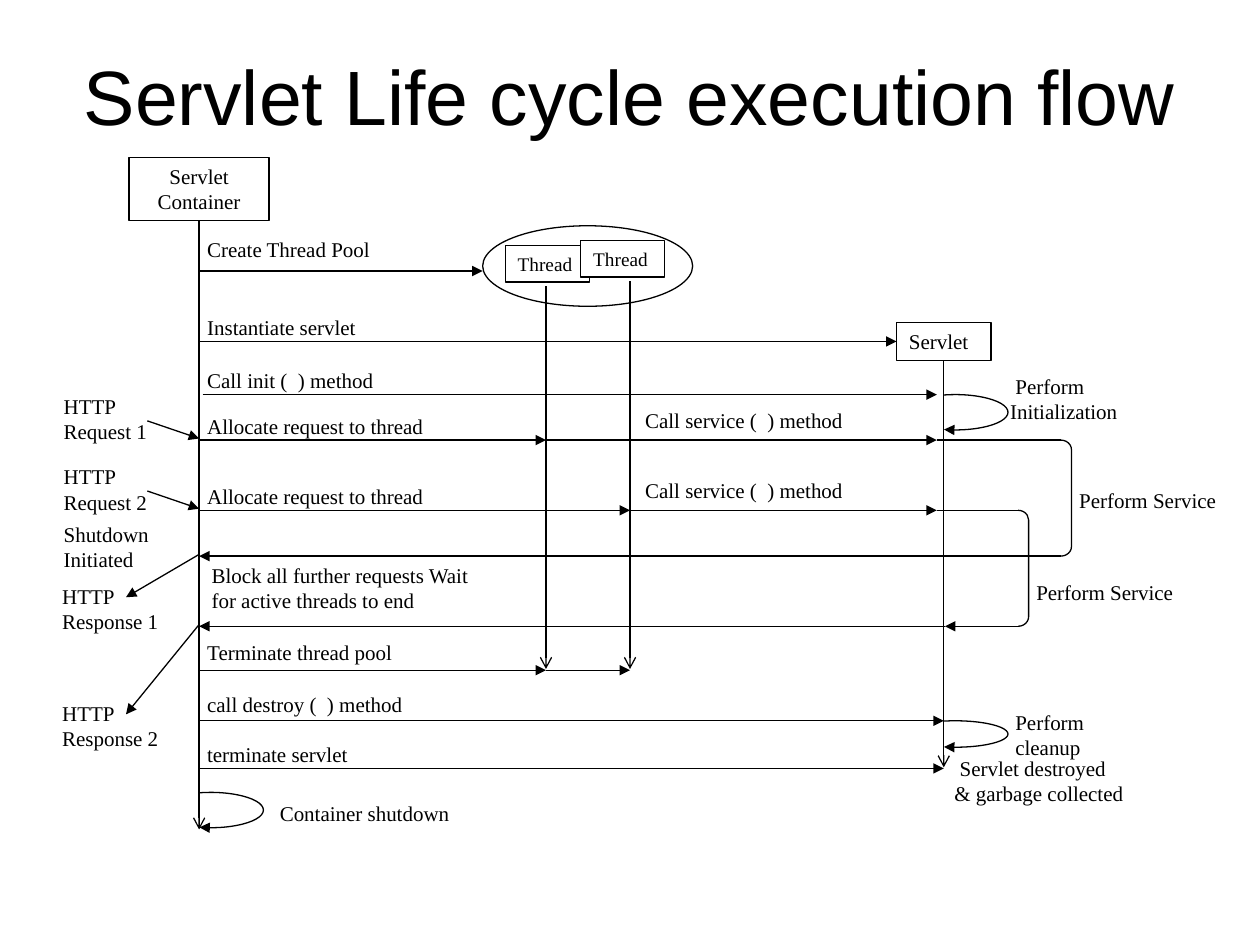
from dataclasses import dataclass
from itertools import pairwise
from math import atan2, degrees

from lxml import etree
from pptx import Presentation
from pptx.dml.color import RGBColor
from pptx.enum.shapes import MSO_CONNECTOR, MSO_SHAPE
from pptx.enum.text import MSO_ANCHOR, PP_ALIGN
from pptx.oxml.ns import qn
from pptx.util import Pt

STRAIGHT = MSO_CONNECTOR.STRAIGHT
RECTANGLE, OVAL = MSO_SHAPE.RECTANGLE, MSO_SHAPE.OVAL
ARC, RIGHT_BRACKET = MSO_SHAPE.ARC, MSO_SHAPE.RIGHT_BRACKET
LEFT, CENTER = PP_ALIGN.LEFT, PP_ALIGN.CENTER
TOP, MIDDLE = MSO_ANCHOR.TOP, MSO_ANCHOR.MIDDLE
SIDE_LEFT, SIDE_BOTTOM = 1, 2
FILLED, OPEN = "triangle", "arrow"

# Lifelines, measured from the container's lifeline
THREAD_1, THREAD_2, SERVLET = 198.2, 246.2, 425.5

# Rows, measured from the top of the diagram
CREATE_POOL, INSTANTIATE, INIT = 64.9, 105.1, 135.5
REQUESTS = (161.5, 201.6)
SERVICE_TIME = 66.3
RESPONSES = tuple(row + SERVICE_TIME for row in REQUESTS)
END_POOL, DESTROY, END_SERVLET = 293, 321.9, 349.1
SHUTDOWN, DIAGRAM_END = 362.8, 384

# Label heights and the usual place of a label beside its arrow
ONE_LINE, TWO_LINES = 21.6, 36
LABEL_SHIFT, LABEL_RISE = -2.5, 19


@dataclass(frozen=True)
class Theme:
    ink: RGBColor = RGBColor(0, 0, 0)
    paper: RGBColor = RGBColor(255, 255, 255)
    line: float = 0.75
    title_font: str = "Arial"
    body_font: str = "Times New Roman"
    title: int = 44
    body: int = 12
    small: int = 11


@dataclass(frozen=True)
class Box:
    left: float
    top: float
    width: float
    height: float

    def at(self, x, y):
        return self.left + x, self.top + y


THEME = Theme()
FRAME = {"word_wrap": True, "margin_left": Pt(7.2), "margin_right": Pt(7.2),
         "margin_top": Pt(3.6), "margin_bottom": Pt(3.6)}


def set_all(target, values):
    for name, value in values.items():
        setattr(target, name, value)


def write(shape, text, size=THEME.body, font=THEME.body_font, align=LEFT, anchor=TOP, indent=0):
    set_all(shape.text_frame, FRAME | {"vertical_anchor": anchor})
    paragraph = shape.text_frame.paragraphs[0]
    set_all(paragraph, {"text": text, "alignment": align})
    if indent:
        paragraph._p.get_or_add_pPr().set("indent", str(Pt(indent)))
    set_all(paragraph.font, {"size": Pt(size), "name": font})
    paragraph.font.color.rgb = THEME.ink


def add_label(slide, text, point, width, height=ONE_LINE, **style):
    shape = slide.shapes.add_textbox(*map(Pt, (*point, width, height)))
    write(shape, text, **style)


def stroke(shape, head):
    shape.line.color.rgb = THEME.ink
    shape.line.width = Pt(THEME.line)
    if head:
        outline = shape.element.spPr.find(qn("a:ln"))
        etree.SubElement(outline, qn("a:tailEnd")).set("type", head)


def add_outline(slide, kind, point, width, height, fill=None, head=None):
    shape = slide.shapes.add_shape(kind, *map(Pt, (*point, width, height)))
    shape.shadow.inherit = False
    if fill is None:
        shape.fill.background()
    else:
        shape.fill.solid()
        shape.fill.fore_color.rgb = fill
    stroke(shape, head)
    return shape


def add_line(slide, start, end, head=FILLED):
    connector = slide.shapes.add_connector(STRAIGHT, *map(Pt, (*start, *end)))
    stroke(connector, head)
    etree.SubElement(connector.element.spPr, qn("a:effectLst"))
    return connector


def add_self_call(slide, point, height):
    """Draw a loop that leaves a lifeline at point and returns below it."""
    x, y = point
    radius, center = 30.2, 6.5
    arc = add_outline(slide, ARC, (x + center - radius, y), 2 * radius, height, head=FILLED)
    # Angles run clockwise from the right; 0.6 turns degrees into adjustment units
    angle = degrees(atan2(height / 2, -center))
    arc.adjustments[0] = (360 - angle) * 0.6
    arc.adjustments[1] = angle * 0.6


def add_title(slide, box):
    add_label(slide, "Servlet Life cycle execution flow", box.at(0, 0), box.width, box.height,
              size=THEME.title, font=THEME.title_font, align=CENTER, anchor=MIDDLE)


def add_participants(slide, box):
    """Draw the container, the thread pool and the servlet; return the servlet."""
    # Container
    width, height = 80, 36
    container = add_outline(slide, RECTANGLE, box.at(-width / 2, 0), width, height)
    write(container, "Servlet Container", align=CENTER)
    lifeline = add_line(slide, box.at(0, height), box.at(0, box.height), OPEN)
    lifeline.begin_connect(container, SIDE_BOTTOM)

    # Thread pool
    width, height, gap = 48, 20.8, 2.5
    add_outline(slide, OVAL, box.at(162, 39), 120, 46)
    for lane, shift, top in ((THREAD_1, -23.3, 50.4), (THREAD_2, -28.1, 47.5)):
        thread = add_outline(slide, RECTANGLE, box.at(lane + shift, top),
                             width, height, THEME.paper)
        write(thread, "Thread", size=THEME.small)
        add_line(slide, box.at(lane, top + height + gap), box.at(lane, END_POOL - 0.7), OPEN)

    # Servlet
    width, height = 54, 21.6
    top = INSTANTIATE - height / 2
    servlet = add_outline(slide, RECTANGLE, box.at(SERVLET - width / 2, top),
                          width, height, THEME.paper)
    write(servlet, "Servlet")
    lifeline = add_line(slide, box.at(SERVLET, top + height),
                        box.at(SERVLET, END_SERVLET - 0.6), OPEN)
    lifeline.begin_connect(servlet, SIDE_BOTTOM)
    return servlet


def add_messages(slide, box, servlet):
    """Draw the container's calls, each as a label above a chain of arrows."""
    before_servlet = SERVLET - 4
    messages = (
        ("Create Thread Pool", CREATE_POOL, 23.3, (0, 162)),
        ("Instantiate servlet", INSTANTIATE, LABEL_RISE, (0, SERVLET - 27)),
        ("Call init (  ) method", INIT, LABEL_RISE, (2, before_servlet)),
        ("Allocate request to thread", REQUESTS[0], LABEL_RISE, (0, THREAD_1, before_servlet)),
        ("Allocate request to thread", REQUESTS[1], LABEL_RISE, (0, THREAD_2, before_servlet)),
        ("Terminate thread pool", END_POOL, 20.9, (0, THREAD_1, THREAD_2)),
        ("call destroy (  ) method", DESTROY, 20.3, (0, SERVLET)),
        ("terminate servlet", END_SERVLET, LABEL_RISE, (0, SERVLET)),
    )
    for text, row, rise, stops in messages:
        add_label(slide, text, box.at(LABEL_SHIFT, row - rise), 156)
        for start, end in pairwise(stops):
            arrow = add_line(slide, box.at(start, row), box.at(end, row))
            if row == INSTANTIATE:
                arrow.end_connect(servlet, SIDE_LEFT)

    for row in REQUESTS:
        add_label(slide, "Call service (  ) method", box.at(THREAD_2 + 1.6, row - 22), 132)

    # Shutdown of the container
    add_label(slide, "Block all further requests Wait for active threads to end",
              box.at(0, RESPONSES[0]), 162, TWO_LINES)
    add_label(slide, "Container shutdown", box.at(39, SHUTDOWN + 1), 120)
    add_self_call(slide, box.at(0, SHUTDOWN), 20.2)


def add_servlet_work(slide, box):
    """Draw what the servlet does; the box starts at its lifeline."""
    # Service calls: out to a bracket, back to the lifeline, on to the container
    services = zip(REQUESTS, RESPONSES, (67, 42.5), (None, FILLED), (23.6, 36))
    for request, response, reach, head, label_drop in services:
        add_line(slide, box.at(-4, request), box.at(reach, request), None)
        bracket = add_outline(slide, RIGHT_BRACKET, box.at(reach, request), 6, SERVICE_TIME)
        bracket.adjustments[0] = 0.92
        add_line(slide, box.at(reach, response), box.at(0.7, response), head)
        add_line(slide, box.at(0.7, response), box.at(-SERVLET, response))
        add_label(slide, "Perform Service", box.at(reach + 3.3, request + label_drop), 102)

    # Start and end of the servlet's life
    for row, height in ((INIT, 20.2), (DESTROY, 15.1)):
        add_self_call(slide, box.at(0, row), height)
    for text, x, y, width, indent in (
        ("Perform Initialization", 30.9, INIT - 15.6, 78, 3),
        ("Perform cleanup", 33.8, DESTROY - 10.1, 54, 0),
        ("Servlet destroyed & garbage collected", -1, END_SERVLET - 10.8, 112.5, 3),
    ):
        add_label(slide, text, box.at(x, y), width, TWO_LINES, indent=indent)


def add_clients(slide, box):
    """Draw requests and responses; the box ends at the container's lifeline."""
    label_width, text_end, text_start = 75, 56.1, 43.9
    for number, row in enumerate(REQUESTS, 1):
        add_label(slide, f"HTTP Request {number}", box.at(1.2, row - 30),
                  label_width, TWO_LINES)
        add_line(slide, box.at(text_end, row - 11), box.at(box.width, row - 0.9))

    add_label(slide, "Shutdown Initiated", box.at(1.2, 204.5), 66, TWO_LINES)

    for number, (row, drop) in enumerate(zip(RESPONSES, (12, 38.8)), 1):
        add_label(slide, f"HTTP Response {number}", box.at(0.4, row + drop),
                  label_width, TWO_LINES)
        add_line(slide, box.at(box.width, row - 1), box.at(text_start, row + drop + 11.5))


def main():
    presentation = Presentation()
    presentation.slide_width, presentation.slide_height = Pt(720), Pt(540)
    slide = presentation.slides.add_slide(presentation.slide_layouts[6])

    diagram = Box(113.8, 90, SERVLET, DIAGRAM_END)
    clients_left, work_left = 28.1, diagram.left + SERVLET
    add_title(slide, Box(36, 21.6, 648, 64.8))
    servlet = add_participants(slide, diagram)
    add_messages(slide, diagram, servlet)
    add_servlet_work(slide, Box(work_left, diagram.top, 720 - work_left, DIAGRAM_END))
    add_clients(slide, Box(clients_left, diagram.top, diagram.left - clients_left, DIAGRAM_END))
    presentation.save("out.pptx")


if __name__ == "__main__":
    main()
